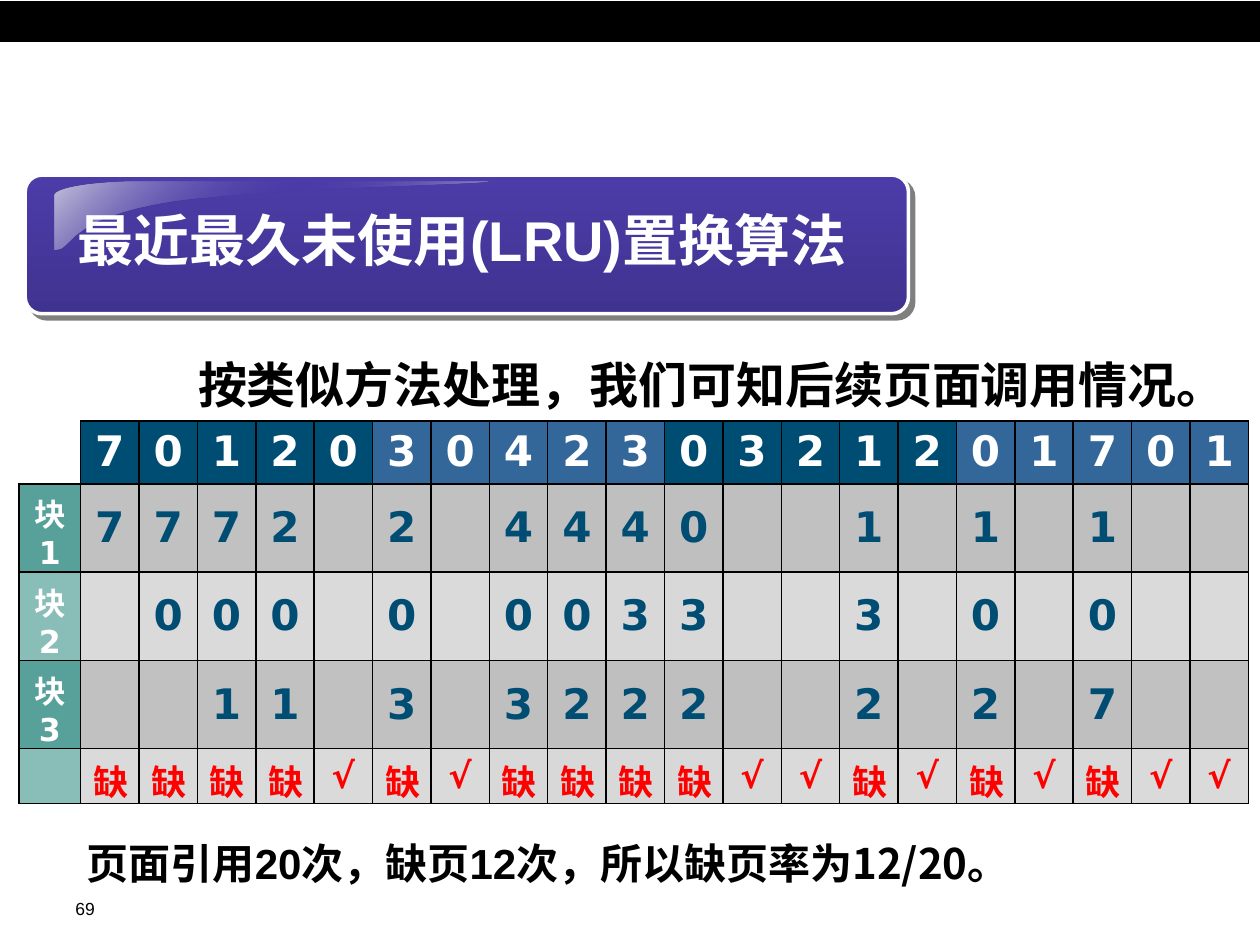
from pptx import Presentation
from pptx.dml.color import RGBColor
from pptx.enum.shapes import MSO_SHAPE
from pptx.enum.text import MSO_ANCHOR, MSO_AUTO_SIZE, PP_ALIGN
from pptx.oxml import parse_xml
from pptx.oxml.ns import nsdecls, qn
from pptx.oxml.xmlchemy import OxmlElement
from pptx.util import Inches, Pt

BLACK = RGBColor(0x00, 0x00, 0x00)
WHITE = RGBColor(0xFF, 0xFF, 0xFF)
OFF_WHITE = RGBColor(0xFE, 0xFE, 0xFE)
RED = RGBColor(0xFF, 0x00, 0x00)
NAVY = RGBColor(0x00, 0x4D, 0x74)
BLUE = RGBColor(0x33, 0x66, 0x99)
TEAL = RGBColor(0x57, 0xA1, 0x9A)
GREY = RGBColor(0xB2, 0xB2, 0xB2)
VIOLET = RGBColor(0x4B, 0x3C, 0xA8)
DARK_VIOLET = RGBColor(0x40, 0x33, 0x90)
LILAC = RGBColor(0xC4, 0xC2, 0xDA)

# One string per row; a space is an empty cell
REFERENCES = "70120304230321201701"
FRAMES = [
    ("块1", "7772 2 4440  1 1 1  "),
    ("块2", " 000 0 0033  3 0 0  "),
    ("块3", "  11 3 3222  2 2 7  "),
]
RESULTS = "缺缺缺缺√缺√缺缺缺缺√√缺√缺√缺√√"


def format_font(font, color, **values):
    for name, value in values.items():
        setattr(font, name, value)
    font.color.rgb = color


def add_run(paragraph, text, color, **values):
    run = paragraph.add_run()
    run.text = text
    format_font(run.font, color, **values)


def set_gradient(shape, stops, angle):
    """Each stop is (position %, colour, opacity %)."""
    marks = "".join(
        f'<a:gs pos="{position * 1000}"><a:srgbClr val="{color}">'
        f'<a:alpha val="{opacity * 1000}"/></a:srgbClr></a:gs>'
        for position, color, opacity in stops)
    gradient = parse_xml(
        f'<a:gradFill {nsdecls("a")} rotWithShape="1"><a:gsLst>{marks}</a:gsLst>'
        f'<a:lin ang="{angle * 60000}" scaled="0"/></a:gradFill>')
    shape.fill.solid()
    solid = shape._element.spPr.find(qn("a:solidFill"))
    solid.getparent().replace(solid, gradient)


def curve(start, control_1, control_2, end, steps=16):
    """Points along a cubic curve, without its start."""
    points = []
    for step in range(1, steps + 1):
        t = step / steps
        weights = ((1 - t) ** 3, 3 * t * (1 - t) ** 2, 3 * t * t * (1 - t), t ** 3)
        points.append(tuple(
            sum(w * p for w, p in zip(weights, axis))
            for axis in zip(start, control_1, control_2, end)))
    return points


def add_top_bar(slide, left, top, width, height):
    bar = slide.shapes.add_shape(MSO_SHAPE.RECTANGLE, left, top, width, height)
    bar.shadow.inherit = False
    bar.fill.solid()
    bar.fill.fore_color.rgb = BLACK
    bar.line.color.rgb = BLACK
    bar.line.width = Pt(0.75)


def add_banner(slide, left, top, width, height):
    # Plate with its offset shadow
    plate = slide.shapes.add_shape(
        MSO_SHAPE.ROUNDED_RECTANGLE, left, top, width, height)
    plate.adjustments[0] = 0.12
    set_gradient(plate, [(0, VIOLET, 100), (100, DARK_VIOLET, 100)], 90)
    plate.line.color.rgb = OFF_WHITE
    plate.line.width = Pt(2)
    plate._element.spPr.append(parse_xml(
        f'<a:effectLst {nsdecls("a")}><a:outerShdw dist="{Pt(4.2)}" dir="2700000" '
        'algn="ctr" rotWithShape="0"><a:srgbClr val="000000"><a:alpha val="50000"/>'
        '</a:srgbClr></a:outerShdw></a:effectLst>'))

    # Gloss in the upper left corner, in inches from the plate's corner
    start, shoulder, foot = (0.92, 0.05), (0.23, 0.16), (0.23, 0.59)
    waist, tip = (1.17, 0.21), (3.68, 0.05)
    outline = [
        *curve(start, (0.54, 0.05), (0.23, 0.1), shoulder),
        foot,
        *curve(foot, (0.39, 0.6), (0.3, 0.34), waist),
        *curve(waist, (2.04, 0.09), (3.72, 0.08), tip),
    ]
    place = lambda point: (left + Inches(point[0]), top + Inches(point[1]))
    builder = slide.shapes.build_freeform(*place(start))
    builder.add_line_segments([place(point) for point in outline], close=True)
    gloss = builder.convert_to_shape()
    gloss.shadow.inherit = False
    gloss.line.fill.background()
    set_gradient(gloss, [(0, LILAC, 100), (50, VIOLET, 0), (100, LILAC, 100)], 45)

    # Title, brought in front of the plate
    title = slide.shapes.title
    title.left, title.top = left + Inches(0.09), top + Inches(0.19)
    title.width, title.height = width - Inches(0.25), Inches(0.63)
    slide.shapes._spTree.append(title._element)
    frame = title.text_frame
    frame.auto_size = MSO_AUTO_SIZE.SHAPE_TO_FIT_TEXT
    frame.vertical_anchor = MSO_ANCHOR.TOP
    frame.paragraphs[0].alignment = PP_ALIGN.CENTER
    add_run(frame.paragraphs[0], "最近最久未使用(LRU)置换算法", WHITE,
            size=Pt(32), bold=True, name="Arial")


def set_borders(cell, hidden=()):
    properties = cell._tc.get_or_add_tcPr()
    for side in "LRTB":
        paint = ("<a:noFill/>" if side in hidden else
                 f'<a:solidFill><a:srgbClr val="{BLACK}"/></a:solidFill>')
        properties.append(parse_xml(
            f'<a:ln{side} {nsdecls("a")} w="{Pt(1)}">{paint}</a:ln{side}>'))


def fill_cell(cell, color, opacity=100):
    cell.fill.solid()
    cell.fill.fore_color.rgb = color
    if opacity < 100:
        alpha = OxmlElement("a:alpha")
        alpha.set("val", str(opacity * 1000))
        cell._tc.tcPr.find(qn("a:solidFill")).find(qn("a:srgbClr")).append(alpha)


def write_cell(cell, text, color, size):
    cell.vertical_anchor = MSO_ANCHOR.MIDDLE
    paragraph = cell.text_frame.paragraphs[0]
    paragraph.alignment = PP_ALIGN.CENTER
    if text.strip():
        add_run(paragraph, text, color, size=Pt(size), bold=True, name="DejaVu Sans")


def add_page_table(slide, left, top, width, height):
    rows = [("", REFERENCES), *FRAMES, ("", RESULTS)]
    count = len(REFERENCES)
    table = slide.shapes.add_table(
        len(rows), count + 1, left, top, width, height).table
    table.first_row = table.horz_banding = False

    label_width = Inches(0.49)
    for index, column in enumerate(table.columns):
        column.width = (width - label_width) // count if index else label_width
    for row, row_height in zip(table.rows, (0.5, 0.7, 0.7, 0.7, 0.43)):
        row.height = Inches(row_height)

    for r, (label, values) in enumerate(rows):
        odd = r % 2 == 1
        for c, text in enumerate([label, *values]):
            cell = table.cell(r, c)
            set_borders(cell, hidden="LT" if r == c == 0 else "")
            if r == c == 0:
                cell.fill.background()
            elif r == 0:
                fill_cell(cell, BLUE if (c - 1) // 5 % 2 else NAVY)
                write_cell(cell, text, WHITE, 24)
            elif c == 0:
                fill_cell(cell, TEAL, 100 if odd else 70)
                write_cell(cell, text, WHITE, 18)
            else:
                denser = 2 if 8 <= c <= 12 or 16 <= c <= 18 else 0
                fill_cell(cell, GREY, (80 if odd else 48) + denser)
                is_result = r == len(rows) - 1
                write_cell(cell, text, RED if is_result else NAVY,
                           20 if is_result else 24)


def add_note(slide, left, top, width, height, parts, size, bold=True,
             wrap=True, **layout):
    """Each part is (text, font name)."""
    frame = slide.shapes.add_textbox(left, top, width, height).text_frame
    frame.word_wrap = wrap
    for name, value in layout.items():
        target = frame.paragraphs[0] if name == "alignment" else frame
        setattr(target, name, value)
    for text, font_name in parts:
        add_run(frame.paragraphs[0], text, BLACK,
                size=Pt(size), bold=bold, name=font_name)


def main():
    presentation = Presentation()
    presentation.slide_width, presentation.slide_height = Inches(10), Inches(7.5)
    slide = presentation.slides.add_slide(presentation.slide_layouts[5])

    add_top_bar(slide, Inches(0), Inches(0.01), Inches(10), Inches(0.32))
    # Page number
    add_note(slide, Inches(0.5), Inches(7.08), Inches(0.67), Inches(0.25),
             [("69", "Arial")], 10, bold=False)
    add_page_table(slide, Inches(0.15), Inches(3.34), Inches(9.76), Inches(3.03))
    add_banner(slide, Inches(0.2), Inches(1.39), Inches(7.01), Inches(1.1))
    # Conclusion below the table
    add_note(slide, Inches(0.59), Inches(6.6), Inches(9.02), Inches(0.5),
             [("页面引用20次，缺页12次，所以", "Arial"),
              ("缺页率为12/20。", "Noto Sans CJK JP")], 24,
             auto_size=MSO_AUTO_SIZE.SHAPE_TO_FIT_TEXT)
    # Lead-in above the table
    add_note(slide, Inches(1.3), Inches(2.73), Inches(8.7), Inches(0.63),
             [("按类似方法处理，我们可知后续页面调用情况。", "Arial")], 28, wrap=False,
             vertical_anchor=MSO_ANCHOR.MIDDLE, alignment=PP_ALIGN.CENTER)

    presentation.save("out.pptx")


if __name__ == "__main__":
    main()
